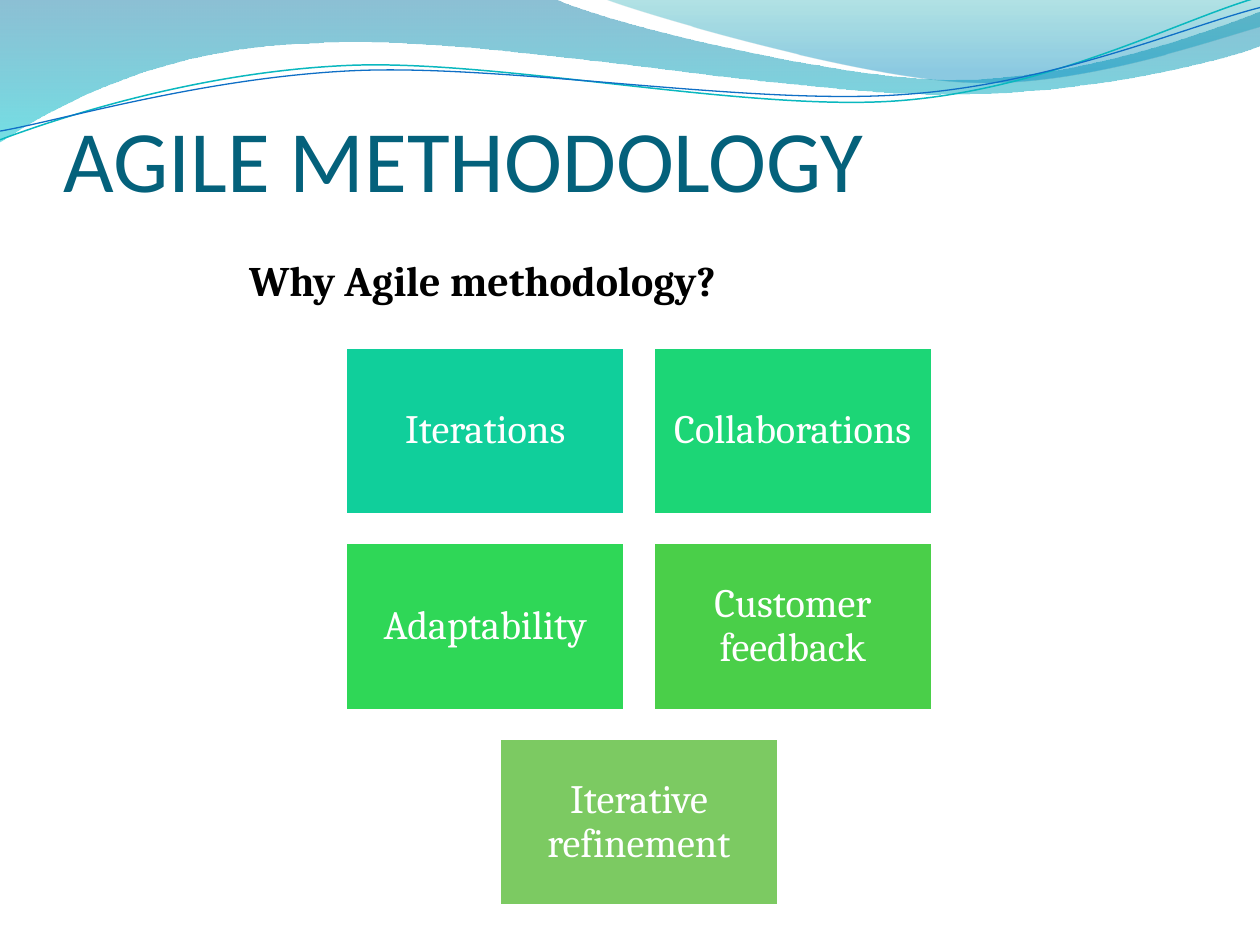
"""Build the Agile methodology slide with its wave header and five benefit tiles."""
from lxml.etree import Element, SubElement
from pptx import Presentation
from pptx.dml.color import RGBColor
from pptx.enum.shapes import MSO_SHAPE
from pptx.enum.text import MSO_ANCHOR as Anchor, PP_ALIGN as Align
from pptx.oxml.ns import qn
from pptx.util import Pt

WHITE = RGBColor(0xFF, 0xFF, 0xFF)
BLACK = RGBColor(0x00, 0x00, 0x00)
TITLE_BLUE = RGBColor(0x04, 0x61, 0x7B)
DEEP_BLUE = RGBColor(0x00, 0x74, 0xA1)
AQUA = RGBColor(0x00, 0xC6, 0xCF)
TEAL = RGBColor(0x00, 0xA1, 0xA9)
SKY_BLUE = RGBColor(0x00, 0x8B, 0xBF)
LINE_TEAL = RGBColor(0x0A, 0xB8, 0xBF)
LINE_BLUE = RGBColor(0x0F, 0x6F, 0xC6)
TILE_GREENS = [
    RGBColor(0x10, 0xCF, 0x9B),
    RGBColor(0x1C, 0xD6, 0x76),
    RGBColor(0x2F, 0xD7, 0x57),
    RGBColor(0x4A, 0xCF, 0x49),
    RGBColor(0x7C, 0xCA, 0x62),
]

deck = Presentation()
deck.slide_width, deck.slide_height = Pt(720), Pt(540)
slide = deck.slides.add_slide(deck.slide_layouts[6])


def draw_wave(start, segments, close):
    builder = slide.shapes.build_freeform(Pt(start[0]), Pt(start[1]))
    for segment in segments:
        vertices = [(Pt(x), Pt(y)) for x, y in zip(segment[::2], segment[1::2])]
        builder.add_line_segments(vertices, close=close and segment is segments[-1])
    wave = builder.convert_to_shape()
    wave.shadow.inherit = False
    edges = iter(list(wave.element.iter(qn("a:lnTo"))))
    for segment in segments:
        pieces = [next(edges) for _ in segment[::2]]
        if len(pieces) == 3:
            curve = Element(qn("a:cubicBezTo"))
            pieces[0].addprevious(curve)
            for piece in pieces:
                curve.append(piece[0])
                piece.getparent().remove(piece)
    return wave


def write_text(shape, text, size, color, font="Cambria", bold=False, align=Align.LEFT,
               anchor=Anchor.TOP, insets=(0, 0, 0, 0), spacing=1.0):
    frame = shape.text_frame
    frame.word_wrap = True
    frame.vertical_anchor = anchor
    frame.margin_left, frame.margin_top, frame.margin_right, frame.margin_bottom = map(Pt, insets)
    paragraph = frame.paragraphs[0]
    paragraph.alignment = align
    paragraph.line_spacing = spacing
    run = paragraph.add_run()
    run.text = text
    run.font.name, run.font.size, run.font.bold = font, Pt(size), bold
    run.font.color.rgb = color


bands = [
    ((0, 0),
     [(316.8, -0.7), (342.7, 12.2, 478.1, 45.4, 545.8, 45.4),
      (614.2, 45.4, 689.8, 18.7, 720, 6.5), (720.7, 25.9),
      (707.8, 31.7, 626.4, 54.7, 537.1, 54), (447.8, 54, 275, 20.2, 185, 24.5),
      (92.9, 25.9, 33.1, 59.8, -0.7, 81.4), (0, 0)],
     [(0, DEEP_BLUE, 45), (1, AQUA, 55)]),
    ((344.9, -0.7),
     [(366.5, 7.9, 491, 44.6, 553.7, 46.8), (616.3, 49.7, 691.9, 23, 720, 15.1),
      (720, 0), (344.9, -0.7)],
     [(0, TEAL, 30), (0.8, SKY_BLUE, 45)]),
]
for start, segments, gradient in bands:
    band = draw_wave(start, segments, close=True)
    band.line.fill.background()
    band.fill.gradient()
    band.fill.gradient_angle = 270
    for stop, (position, color, opacity) in zip(band.fill.gradient_stops, gradient):
        stop.position = position
        stop.color.rgb = color
    for color_node, (_, _, opacity) in zip(band.element.iter(qn("a:srgbClr")), gradient):
        SubElement(color_node, qn("a:alpha")).set("val", str(opacity * 1000))

strands = [
    ((0, 79.9),
     [(34.6, 67, 113.8, 41, 199.4, 37.4), (284.4, 33.8, 427, 64.1, 513.4, 57.6),
      (599.8, 51.1, 675.4, 10.8, 718.6, -1.4)],
     LINE_TEAL, 0.85),
    ((0, 74.9),
     [(33.8, 69.1, 118.1, 43.9, 203.8, 40.3), (290.2, 36.7, 429.8, 60.5, 516.2, 54),
      (601.9, 48.2, 677.5, 15.1, 720, 4.3)],
     LINE_BLUE, 0.75),
]
for start, segments, color, width in strands:
    strand = draw_wave(start, segments, close=False)
    strand.fill.background()
    strand.line.color.rgb = color
    strand.line.width = Pt(width)

title = slide.shapes.add_textbox(Pt(36.2), Pt(55.4), Pt(653.8), Pt(64.8))
write_text(title, "AGILE METHODOLOGY", size=50, color=TITLE_BLUE, font="Calibri",
           anchor=Anchor.BOTTOM, insets=(0, 3.6, 0, 0))

question = slide.shapes.add_textbox(Pt(56.2), Pt(113.8), Pt(617.8), Pt(65.5))
write_text(question, "Why Agile methodology?", size=24, color=BLACK, bold=True,
           insets=(86.2, 34.8, 7.2, 0))

benefits = ["Iterations", "Collaborations", "Adaptability", "Customer feedback",
            "Iterative refinement"]
tile_width, tile_height, gap = 159.8, 95.9, 16
grid_center, grid_top, columns = 365.2, 198.2, 2
for index, (benefit, green) in enumerate(zip(benefits, TILE_GREENS)):
    row, column = divmod(index, columns)
    row_count = min(columns, len(benefits) - row * columns)
    row_left = grid_center - (row_count * (tile_width + gap) - gap) / 2
    tile = slide.shapes.add_shape(
        MSO_SHAPE.RECTANGLE,
        Pt(row_left + column * (tile_width + gap)), Pt(grid_top + row * (tile_height + gap)),
        Pt(tile_width), Pt(tile_height))
    tile.shadow.inherit = False
    tile.fill.solid()
    tile.fill.fore_color.rgb = green
    tile.line.color.rgb = WHITE
    tile.line.width = Pt(2)
    write_text(tile, benefit, size=23, color=WHITE, align=Align.CENTER,
               anchor=Anchor.MIDDLE, insets=(7.2, 7.2, 7.2, 7.2), spacing=0.9)

deck.save("out.pptx")
